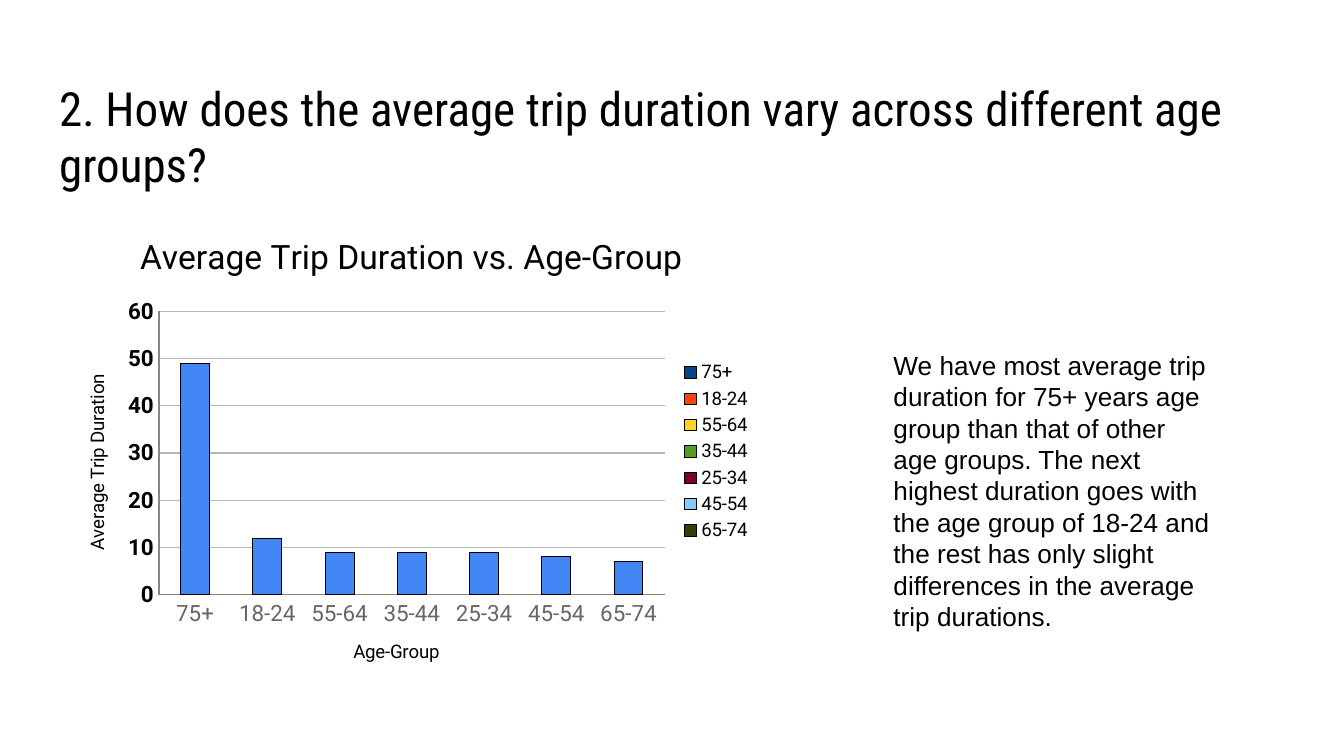
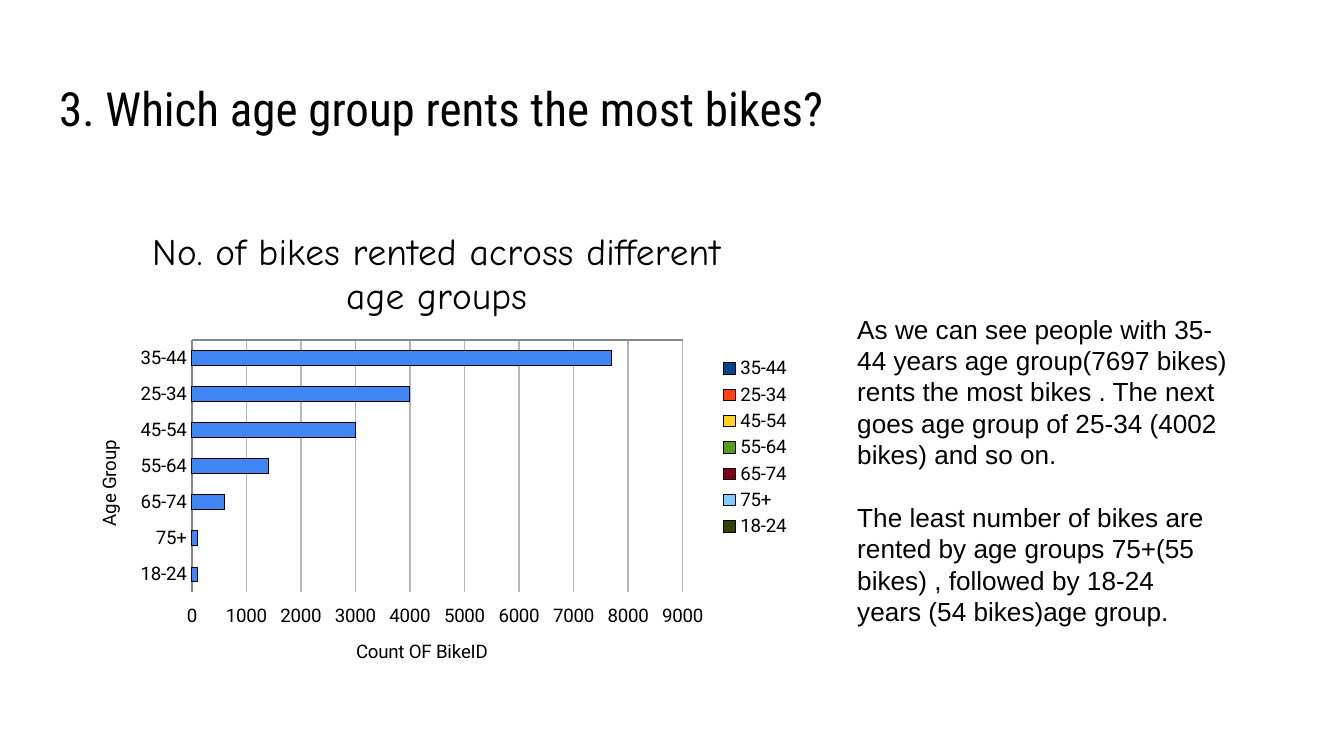
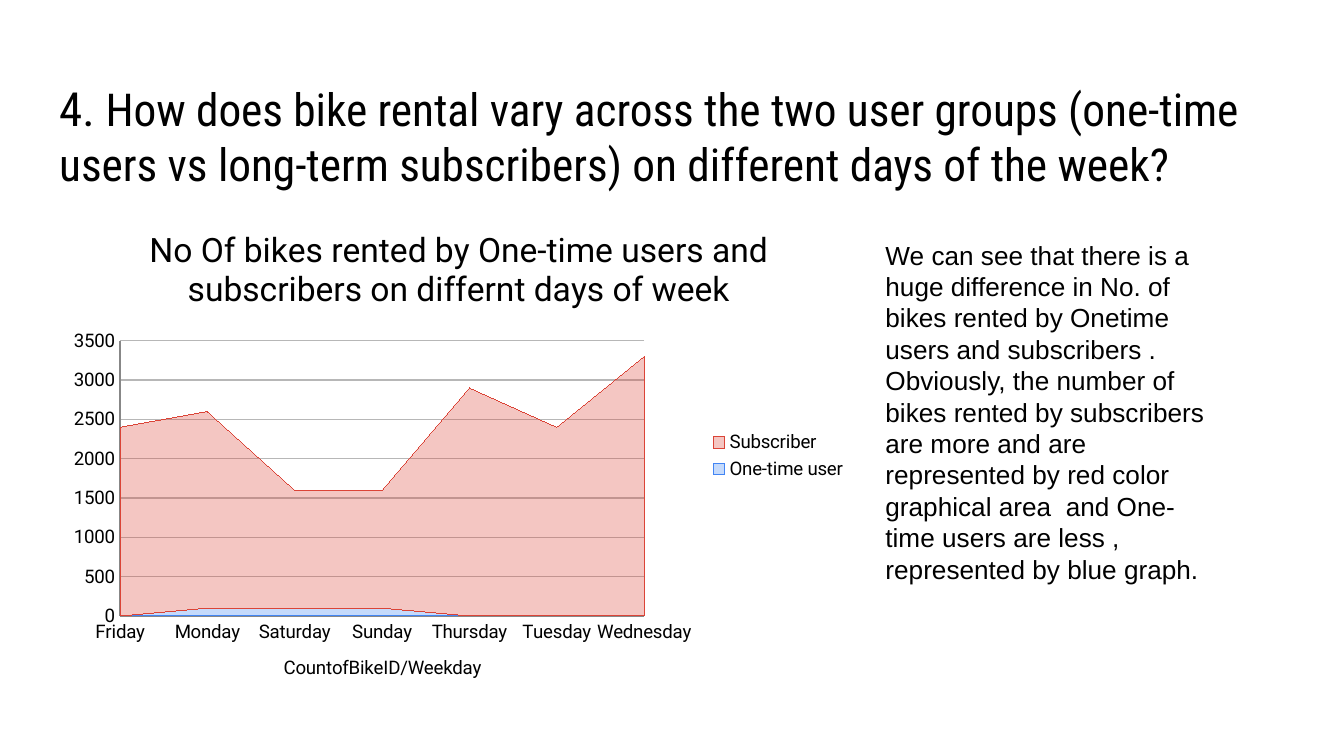
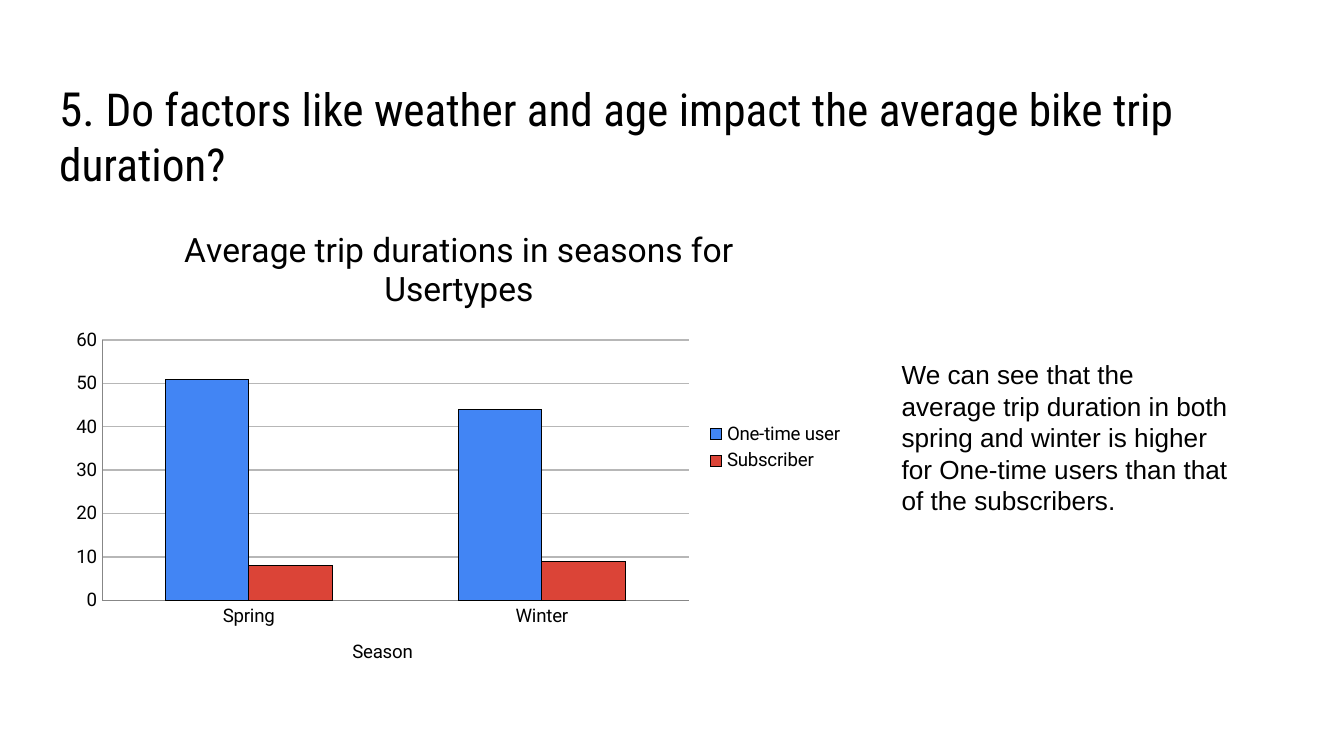
from dataclasses import dataclass

from lxml.etree import SubElement
from pptx import Presentation
from pptx.chart.data import CategoryChartData
from pptx.dml.color import RGBColor
from pptx.enum.chart import (
    XL_AXIS_CROSSES,
    XL_CHART_TYPE,
    XL_LEGEND_POSITION,
    XL_TICK_LABEL_POSITION,
    XL_TICK_MARK,
)
from pptx.enum.text import MSO_ANCHOR, MSO_AUTO_SIZE, PP_ALIGN
from pptx.oxml.ns import qn
from pptx.util import Inches, Pt


@dataclass(frozen=True)
class Theme:
    black: str = "000000"
    grey: str = "666666"
    grid: str = "B7B7B7"
    blue: str = "4285F4"
    red: str = "DB4437"
    title_font: str = "Roboto Condensed"
    chart_font: str = "Roboto"
    accent_font: str = "Comic Neue"
    body_font: str = "Arial"
    title_size: float = 25.2
    long_title_size: float = 24.3
    body_size: float = 14
    chart_title_size: float = 18
    accent_size: float = 20
    label_size: float = 10
    large_label_size: float = 12
    grid_width: float = 0.75
    gap_width: int = 150
    area_alpha: int = 30


THEME = Theme()
SLIDE_WIDTH = Inches(10)
SLIDE_HEIGHT = SLIDE_WIDTH * 9 // 16
TITLE_BOX = (0.34, 0.49, 9.32, 0.63)

SLIDES = [
    {
        "title": [("2. How does the average trip duration vary across different age groups?", THEME.title_size)],
        "chart": {
            "type": XL_CHART_TYPE.COLUMN_CLUSTERED,
            "box": (0.43, 1.58, 5.26, 3.56),
            "title": "Average Trip Duration vs. Age-Group",
            "category_title": "Age-Group",
            "value_title": "Average Trip Duration",
            "category_format": {"size": THEME.large_label_size, "color": THEME.grey},
            "value_format": {"size": THEME.large_label_size, "bold": True},
            "number_format": "#,##0",
            "categories": ["75+", "18-24", "55-64", "35-44", "25-34", "45-54", "65-74"],
            "series": [("Average Trip Duration", THEME.blue, [49, 12, 9, 9, 9, 8, 7])],
        },
        "note_box": (6.55, 2.55, 2.6, 2.22),
        "note": [
            "We have most average trip duration for 75+ years age group than that of other age groups. "
            "The next highest duration goes with the age group of 18-24 and the rest has only slight "
            "differences in the average trip durations.",
        ],
    },
    {
        "title": [("3. Which age group rents the most bikes?", THEME.title_size)],
        "chart": {
            "type": XL_CHART_TYPE.BAR_CLUSTERED,
            "box": (0.52, 1.52, 5.46, 3.62),
            "title": "No. of bikes rented across different age groups",
            "title_format": {"name": THEME.accent_font, "size": THEME.accent_size},
            "category_title": "Age Group",
            "value_title": "Count OF BikeID",
            "categories": ["35-44", "25-34", "45-54", "55-64", "65-74", "75+", "18-24"],
            "series": [("Count OF BikeID", THEME.blue, [7700, 4000, 3000, 1400, 600, 100, 100])],
        },
        "note_box": (6.28, 2.28, 2.95, 2.46),
        "note": [
            "As we can see people with 35-44 years age group(7697 bikes) rents the most bikes . "
            "The next goes age group of 25-34 (4002 bikes) and so on.",
            "The least number of bikes are rented by age groups 75+(55 bikes) , followed by 18-24  "
            "years (54 bikes)age group.",
        ],
    },
    {
        "title": [
            ("4. ", THEME.title_size),
            ("How does bike rental vary across the two user groups (one-time users vs long-term "
             "subscribers) on different days of the week?", THEME.long_title_size),
        ],
        "chart": {
            "type": XL_CHART_TYPE.AREA_STACKED,
            "box": (0.43, 1.52, 5.97, 3.74),
            "title": "No Of bikes rented by One-time users and subscribers on differnt days of week",
            "category_title": "CountofBikeID/Weekday",
            "categories": ["Friday", "Monday", "Saturday", "Sunday", "Thursday", "Tuesday", "Wednesday"],
            "series": [
                ("One-time user", THEME.blue, [0, 100, 100, 100, 0, 0, 0]),
                ("Subscriber", THEME.red, [2400, 2500, 1500, 1500, 2900, 2400, 3300]),
            ],
        },
        "note_box": (6.49, 1.73, 2.66, 2.69),
        "note": [
            "We can see that there is a huge difference in No. of bikes rented by Onetime users and "
            "subscribers . Obviously, the number of bikes rented by subscribers are more and are "
            "represented by red color graphical area  and One-time users are less , represented by "
            "blue graph.",
        ],
    },
    {
        "title": [
            ("5. ", THEME.title_size),
            ("Do factors like weather and age impact the average bike trip duration?", THEME.long_title_size),
        ],
        "chart": {
            "type": XL_CHART_TYPE.COLUMN_CLUSTERED,
            "box": (0.45, 1.52, 5.93, 3.62),
            "title": "Average trip durations in seasons for Usertypes",
            "category_title": "Season",
            "number_format": "#,##0",
            "categories": ["Spring", "Winter"],
            "series": [
                ("One-time user", THEME.blue, [51, 44]),
                ("Subscriber", THEME.red, [8, 9]),
            ],
        },
        "note_box": (6.61, 2.62, 2.68, 1.28),
        "note": [
            "We can see that the average trip duration in both spring and winter is higher for "
            "One-time users than that of the subscribers.",
        ],
    },
]


def set_attributes(target, values):
    for name, value in values.items():
        setattr(target, name, value)


def format_font(font, name=THEME.chart_font, size=THEME.label_size, color=THEME.black, bold=False):
    set_attributes(font, {"name": name, "size": Pt(size), "bold": bold})
    font.color.rgb = RGBColor.from_string(color)


def place(box):
    return [Inches(length) for length in box]


def write_title(slide, runs):
    title = slide.shapes.title
    set_attributes(title, dict(zip(("left", "top", "width", "height"), place(TITLE_BOX))))
    margins = {f"margin_{side}": Inches(0.1) for side in ("left", "top", "right", "bottom")}
    frame = title.text_frame
    set_attributes(frame, {
        **margins,
        "word_wrap": True,
        "auto_size": MSO_AUTO_SIZE.NONE,
        "vertical_anchor": MSO_ANCHOR.TOP,
    })
    paragraph = frame.paragraphs[0]
    paragraph.alignment = PP_ALIGN.LEFT
    for text, size in runs:
        run = paragraph.add_run()
        run.text = text
        format_font(run.font, THEME.title_font, size)


def write_note(slide, box, paragraphs):
    frame = slide.shapes.add_textbox(*place(box)).text_frame
    set_attributes(frame, {"word_wrap": True, "auto_size": MSO_AUTO_SIZE.SHAPE_TO_FIT_TEXT})
    for index, text in enumerate(paragraphs):
        paragraph = frame.add_paragraph() if index else frame.paragraphs[0]
        paragraph.space_before = Pt(THEME.body_size * 1.2 if index else 0)
        run = paragraph.add_run()
        run.text = text
        format_font(run.font, THEME.body_font, THEME.body_size)


def write_chart_title(owner, text, **font_format):
    frame = owner.text_frame
    frame.text = text
    format_font(frame.paragraphs[0].runs[0].font, **font_format)


def format_axis(axis, title, font_format):
    set_attributes(axis, {
        "major_tick_mark": XL_TICK_MARK.NONE,
        "minor_tick_mark": XL_TICK_MARK.NONE,
        "has_title": bool(title),
        "has_major_gridlines": False,
    })
    format_font(axis.tick_labels.font, **font_format)
    if title:
        write_chart_title(axis.axis_title, title)


def format_series(series, color, is_area):
    fill = series.format.fill
    fill.solid()
    fill.fore_color.rgb = RGBColor.from_string(color)
    series.format.line.color.rgb = RGBColor.from_string(color if is_area else THEME.black)
    if is_area:
        fill_color = series._element.find(qn("c:spPr")).find(qn("a:solidFill"))[0]
        SubElement(fill_color, qn("a:alpha"), val=str(THEME.area_alpha * 1000))


def draw_chart(slide, content):
    data = CategoryChartData()
    data.categories = content["categories"]
    for name, _, values in content["series"]:
        data.add_series(name, values)
    chart = slide.shapes.add_chart(content["type"], *place(content["box"]), data).chart
    format_font(chart.font, THEME.body_font)

    chart.has_title = True
    title_format = content.get("title_format", {"size": THEME.chart_title_size})
    write_chart_title(chart.chart_title, content["title"], **title_format)
    chart.has_legend = True
    set_attributes(chart.legend, {"position": XL_LEGEND_POSITION.RIGHT, "include_in_layout": False})
    format_font(chart.legend.font)

    category_axis, value_axis = chart.category_axis, chart.value_axis
    format_axis(category_axis, content["category_title"], content.get("category_format", {}))
    format_axis(value_axis, content.get("value_title"), content.get("value_format", {}))
    value_axis.has_major_gridlines = True
    grid_line = value_axis.major_gridlines.format.line
    grid_line.color.rgb = RGBColor.from_string(THEME.grid)
    grid_line.width = Pt(THEME.grid_width)
    set_attributes(value_axis.tick_labels, {
        "number_format": content.get("number_format", "General"),
        "number_format_is_linked": False,
    })
    if content["type"] == XL_CHART_TYPE.BAR_CLUSTERED:
        set_attributes(category_axis, {"reverse_order": True, "crosses": XL_AXIS_CROSSES.MAXIMUM})
        value_axis.tick_label_position = XL_TICK_LABEL_POSITION.HIGH

    plot = chart.plots[0]
    plot.vary_by_categories = len(content["series"]) == 1
    is_area = content["type"] == XL_CHART_TYPE.AREA_STACKED
    if not is_area:
        plot.gap_width = THEME.gap_width
    for series, (_, color, _) in zip(plot.series, content["series"]):
        format_series(series, color, is_area)


def main():
    presentation = Presentation()
    set_attributes(presentation, {"slide_width": SLIDE_WIDTH, "slide_height": SLIDE_HEIGHT})
    title_only = presentation.slide_layouts[5]
    for content in SLIDES:
        slide = presentation.slides.add_slide(title_only)
        write_title(slide, content["title"])
        draw_chart(slide, content["chart"])
        write_note(slide, content["note_box"], content["note"])
    presentation.save("out.pptx")


if __name__ == "__main__":
    main()
